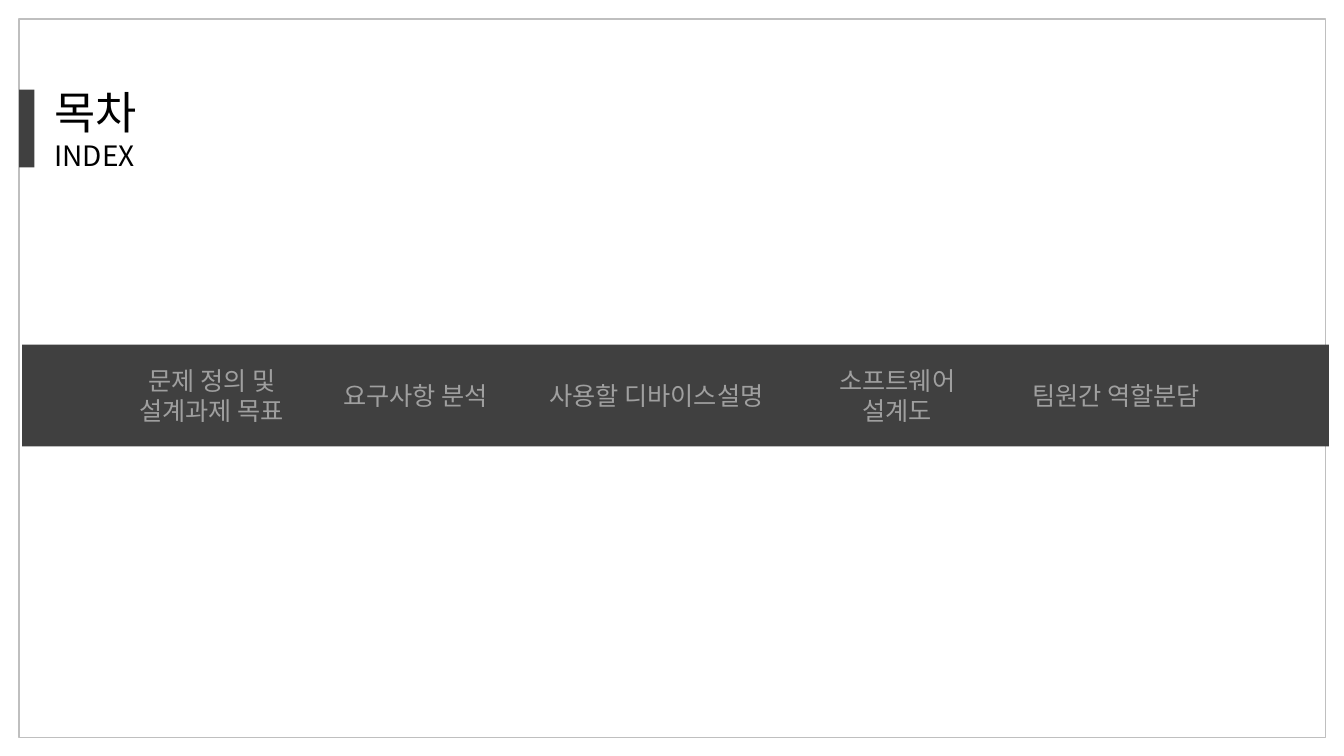
from dataclasses import dataclass

from lxml import etree
from pptx import Presentation
from pptx.dml.color import RGBColor
from pptx.enum.shapes import MSO_SHAPE
from pptx.enum.text import MSO_ANCHOR, MSO_AUTO_SIZE, PP_ALIGN
from pptx.oxml.ns import qn
from pptx.util import Inches, Pt

RECT = MSO_SHAPE.RECTANGLE
LEFT, CENTER = PP_ALIGN.LEFT, PP_ALIGN.CENTER
MIDDLE = MSO_ANCHOR.MIDDLE
NO_FIT = MSO_AUTO_SIZE.NONE


@dataclass(frozen=True)
class Theme:
    """Colours, font and type sizes of the deck."""
    font: str = "Noto Sans CJK KR"
    ink: RGBColor = RGBColor(0, 0, 0)
    dark: RGBColor = RGBColor(0x40, 0x40, 0x40)
    frame: RGBColor = RGBColor(0xBF, 0xBF, 0xBF)
    light: RGBColor = RGBColor(0xFF, 0xFF, 0xFF)
    dim: int = 50
    title: int = 32
    subtitle: int = 20
    item: int = 18


THEME = Theme()
MENU = [
    (["문제 정의 및", "설계과제 목표"], 1.82),
    (["요구사항 분석"], 1.82),
    (["사용할 디바이스설명"], 2.56),
    (["소프트웨어", "설계도"], 1.82),
    (["팀원간 역할분담"], 2.12),
]


def add_rect(shapes, x, y, w, h, fill=None, line=None):
    """Add a flat rectangle with an optional fill and outline."""
    sp = shapes.add_shape(RECT, Inches(x), Inches(y), Inches(w), Inches(h))
    sp.shadow.inherit = False
    if fill is None:
        sp.fill.background()
    else:
        sp.fill.solid()
        sp.fill.fore_color.rgb = fill
    if line is None:
        sp.line.fill.background()
    else:
        sp.line.color.rgb = line
        sp.line.width = Pt(1)
    return sp


def write_lines(sp, lines, color, align, opacity=100):
    """Write (text, size) pairs into a shape, one paragraph each."""
    tf = sp.text_frame
    tf.word_wrap = True
    tf.auto_size = NO_FIT
    tf.vertical_anchor = MIDDLE
    for i, (text, size) in enumerate(lines):
        p = tf.add_paragraph() if i else tf.paragraphs[0]
        p.alignment = align
        r = p.add_run()
        r.text = text
        r.font.name = THEME.font
        r.font.size = Pt(size)
        r.font.color.rgb = color
        r_pr = r.font._element
        r_pr.find(qn("a:latin")).addnext(
            etree.Element(qn("a:ea"), typeface=THEME.font))
        if opacity < 100:
            etree.SubElement(r_pr.find(f".//{qn('a:srgbClr')}"),
                             qn("a:alpha"), val=str(opacity * 1000))


def add_heading(s, x, y, w, h):
    """Place the accent bar and the two-line title in the box."""
    add_rect(s.shapes, x, y + 0.11, 0.15, 0.77, fill=THEME.dark)
    sp = s.shapes.title
    sp.left, sp.top = Inches(x + 0.25), Inches(y)
    sp.width, sp.height = Inches(w - 0.25), Inches(h)
    lines = [("목차", THEME.title), ("INDEX", THEME.subtitle)]
    write_lines(sp, lines, THEME.ink, LEFT)


def add_menu(s, x, y, w, h, indent=0.97, gap=0.2):
    """Place the dark band and its row of grouped section names."""
    add_rect(s.shapes, x, y, w, h, fill=THEME.dark)
    group = s.shapes.add_group_shape()
    left = x + indent
    for names, width in MENU:
        height = 0.4 if len(names) == 1 else 0.71
        top = y + (h - height) / 2
        sp = group.shapes.add_textbox(Inches(left), Inches(top),
                                      Inches(width), Inches(height))
        lines = [(name, THEME.item) for name in names]
        write_lines(sp, lines, THEME.light, CENTER, THEME.dim)
        left += width + gap


def build_index(prs):
    """Build the index slide."""
    s = prs.slides.add_slide(prs.slide_layouts[5])
    add_rect(s.shapes, 0.19, 0.19, 12.96, 7.13, line=THEME.frame)
    add_heading(s, 0.19, 0.78, 1.62, 0.98)
    add_menu(s, 0.22, 3.42, 12.96, 1.01)


prs = Presentation()
prs.slide_width, prs.slide_height = Inches(13.33), Inches(7.5)
build_index(prs)
prs.save("out.pptx")
